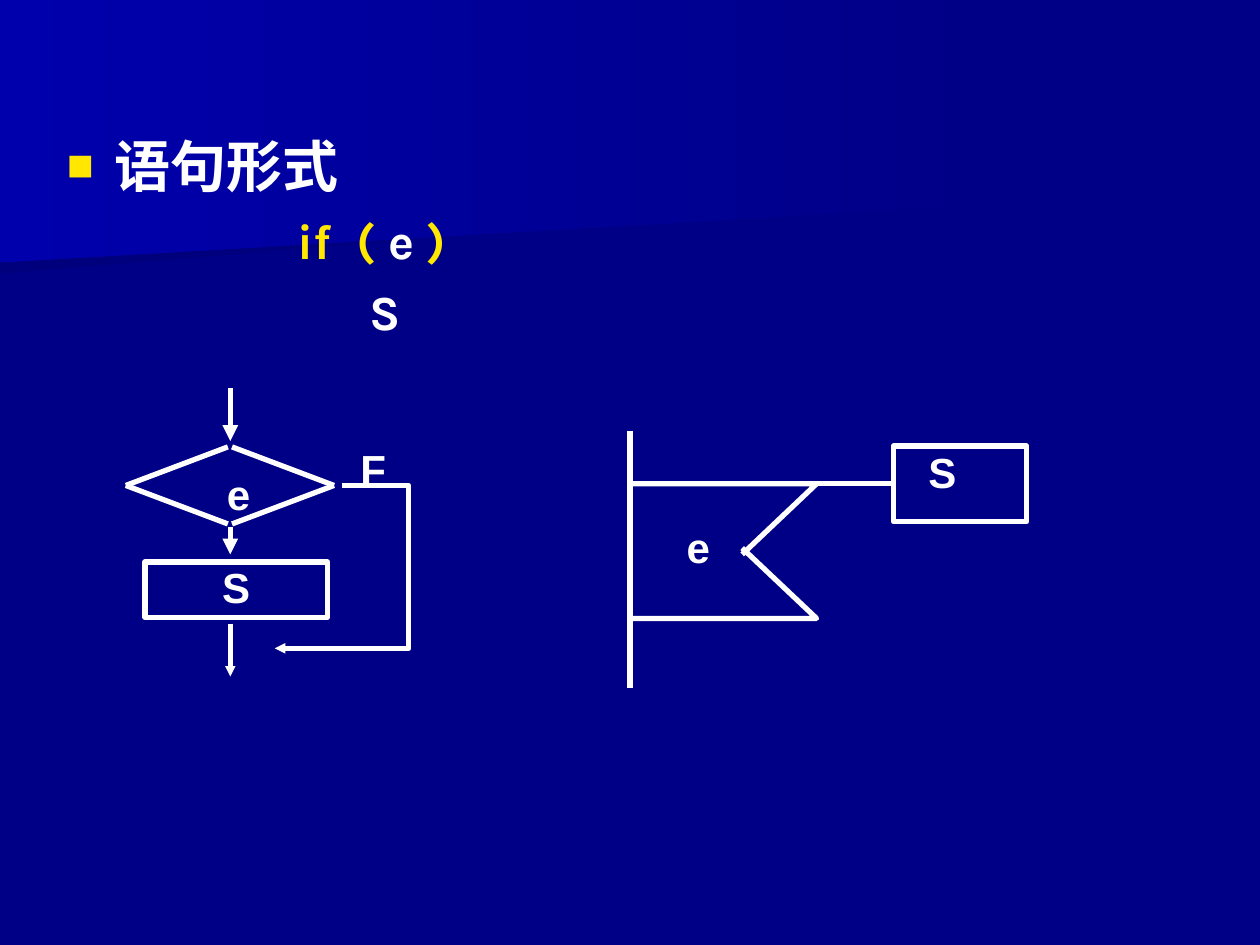
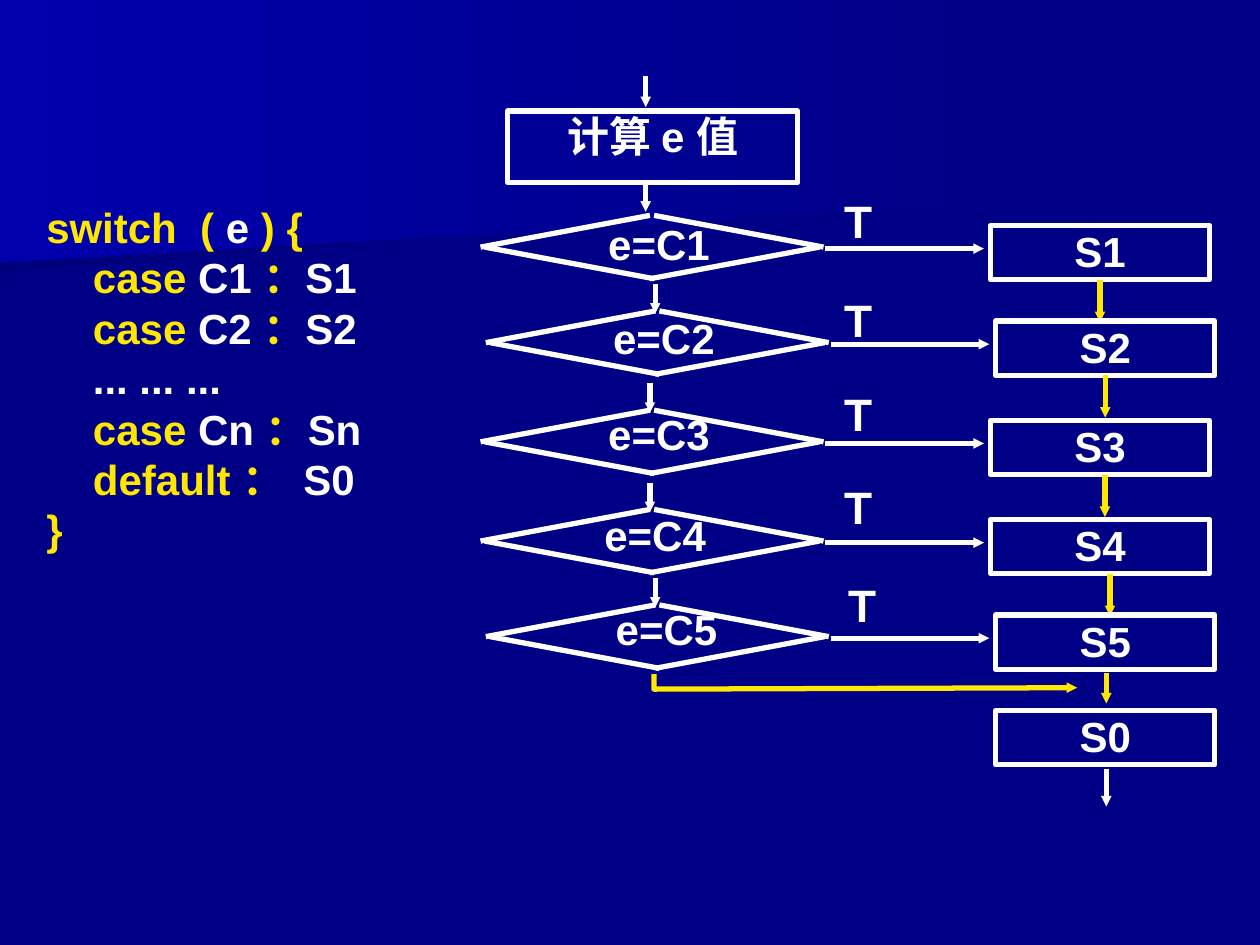
from lxml import etree
from pptx import Presentation
from pptx.dml.color import RGBColor
from pptx.enum.shapes import MSO_CONNECTOR, MSO_SHAPE
from pptx.enum.text import MSO_ANCHOR, MSO_AUTO_SIZE, PP_ALIGN
from pptx.oxml.ns import qn
from pptx.util import Pt

STRAIGHT, RECT = MSO_CONNECTOR.STRAIGHT, MSO_SHAPE.RECTANGLE
TOP, FIXED = MSO_ANCHOR.TOP, MSO_AUTO_SIZE.NONE
LEFT, MID, EVEN = PP_ALIGN.LEFT, PP_ALIGN.CENTER, PP_ALIGN.JUSTIFY

HEX = {"navy": "000086", "dark": "00007D", "glow": "0000AC",
       "white": "FFFFFF", "gold": "FFE701"}
RGB = {name: RGBColor.from_string(code) for name, code in HEX.items()}
LABEL = {"name": "Arial", "size": Pt(24), "bold": True}


def draw(slide, spots, color="white", tip=None):
    """Draw a straight or bent line, with an arrowhead of size tip at its end."""
    spots = [(Pt(x), Pt(y)) for x, y in spots]
    if len(spots) == 2:
        item = slide.shapes.add_connector(STRAIGHT, *spots[0], *spots[1])
    else:
        pen = slide.shapes.build_freeform(*spots[0])
        pen.add_line_segments(spots[1:], close=False)
        item = pen.convert_to_shape()
        item.fill.background()
    item.line.color.rgb = RGB[color]
    item.line.width = Pt(3)
    if tip:
        etree.SubElement(item.line._get_or_add_ln(), qn("a:tailEnd"),
                         type="triangle", w=tip, len=tip)
    etree.SubElement(item.element.spPr, qn("a:effectLst"))
    return item


def put(slide, text, box, align=MID, framed=False, pad=(0, 0)):
    """Place a label, or a list of lines made of (text, colour) runs."""
    box = [Pt(v) for v in box]
    if framed:
        item = slide.shapes.add_shape(RECT, *box)
        item.shadow.inherit = False
        item.fill.background()
        item.line.color.rgb = RGB["white"]
        item.line.width = Pt(3)
    else:
        item = slide.shapes.add_textbox(*box)
    frame = item.text_frame
    form = {"word_wrap": True, "auto_size": FIXED, "vertical_anchor": TOP,
            "margin_left": Pt(pad[0]), "margin_right": Pt(pad[0]),
            "margin_top": Pt(pad[1]), "margin_bottom": Pt(pad[1])}
    for key, value in form.items():
        setattr(frame, key, value)
    lines = [[(text, "white")]] if isinstance(text, str) else text
    for i, runs in enumerate(lines):
        para = frame.add_paragraph() if i else frame.paragraphs[0]
        para.alignment = align
        for words, color in runs:
            run = para.add_run()
            run.text = words
            run.font.color.rgb = RGB[color]
            for key, value in LABEL.items():
                setattr(run.font, key, value)
    return item


deck = Presentation()
deck.slide_width, deck.slide_height = Pt(720), Pt(540)
first = deck.slides.add_slide(deck.slide_layouts[1])
second = deck.slides.add_slide(deck.slide_layouts[6])

# Shared background and bands, kept on the master
master = deck.slide_master
master.background.fill.solid()
master.background.fill.fore_color.rgb = RGB["navy"]
bands = [
    ("dark", [(560.2, 110.2), (0, 156.2), (0, 72.7), (560.9, 72.7)]),
    ("glow", [(570.2, 116.6), (0, 149.8), (0, 0), (570.2, 0)]),
]
for place, (shade, spots) in enumerate(bands, start=2):
    spots = [(Pt(x), Pt(y)) for x, y in spots]
    pen = first.shapes.build_freeform(*spots[0])
    pen.add_line_segments(spots[1:], close=True)
    band = pen.convert_to_shape()
    band.shadow.inherit = False
    band.line.fill.background()
    band.fill.gradient()
    band.fill.gradient_angle = 180
    for stop, name in zip(band.fill.gradient_stops, ("navy", shade)):
        stop.color.rgb = RGB[name]
    master.shapes.element.insert(place, band.element)

# Slide 1: form of the statement
title = first.shapes.title.element
title.getparent().remove(title)
body = first.placeholders[1]
for key, value in zip(("left", "top", "width", "height"), (31, 71.3, 640.8, 169.9)):
    setattr(body, key, Pt(value))
frame = body.text_frame
frame.auto_size = FIXED
frame.vertical_anchor = TOP
# level, left margin, hanging indent, space before, size, runs
lines = [
    (0, 27, -27, 0, 32, [("语句形式", "white")]),
    (1, 132, 0, 7, 28, [("if  (", "gold"), (" e ", "white"), (")", "gold")]),
    (1, 173, 0, 7, 28, [("S", "white")]),
]
for i, (level, margin, hang, gap, size, runs) in enumerate(lines):
    para = frame.add_paragraph() if i else frame.paragraphs[0]
    para.level = level
    para.space_before = Pt(gap)
    para.alignment = LEFT
    props = para._p.get_or_add_pPr()
    props.set("marL", str(Pt(margin)))
    props.set("indent", str(Pt(hang)))
    if level:
        etree.SubElement(props, qn("a:buNone"))
    else:
        tint = etree.SubElement(props, qn("a:buClr"))
        etree.SubElement(tint, qn("a:srgbClr"), val=HEX["gold"])
        etree.SubElement(props, qn("a:buSzPct"), val="80000")
        etree.SubElement(props, qn("a:buFont"), typeface="Arial")
        etree.SubElement(props, qn("a:buChar"), char="■")
    for words, color in runs:
        run = para.add_run()
        run.text = words
        run.font.color.rgb = RGB[color]
        for key, value in {"name": "Karla", "size": Pt(size), "bold": True}.items():
            setattr(run.font, key, value)

# Diamonds of both slides: slide, centre, half width, half height, bottom gap sign
MIDX = 372.6
shift = [0, 3, 0, 0, 3]
level = [141.2, 195.8, 252.5, 309.2, 363.8]
gems = [(first, 131.4, 277.4, 58.3, 22, 1)]
gems += [(second, MIDX + dx, y, 96.8, 18.1, -1) for dx, y in zip(shift, level)]
for slide, x, y, wide, high, cross in gems:
    for side in (-1, 1):
        for end in (-1, 1):
            start = x + side * 1.2 * (cross if end > 0 else 1)
            draw(slide, [(start, y + end * high), (start + side * wide, y)])

# Slide 1: flow chart
put(first, "e", (129.6, 267.8, 21.6, 28.1), EVEN)
put(first, "S", (82.8, 321.1, 104.4, 31.7), framed=True)
for top, foot, tip in [(221.8, 252, "med"), (301, 316.8, "med"), (356.4, 386.6, "sm")]:
    draw(first, [(131.6, top), (131.6, foot)], tip=tip)
draw(first, [(195.3, 277.4), (233.5, 277.4), (233.5, 370.5), (157, 370.5)], tip="sm")
put(first, "F", (205.9, 253.4, 36, 20.2), EVEN)

# Slide 1: structure chart
draw(first, [(360, 246.2), (360, 393.1)])
draw(first, [(360, 353.4), (466.6, 353.4), (424.1, 313.2)])
draw(first, [(360, 276.5), (466.6, 276.5), (424.1, 316.8)])
box = put(first, "S", (510.5, 254.9, 76.3, 43.2), LEFT, framed=True)
box.text_frame.margin_left = Pt(20)
draw(first, [(460.1, 276.5), (510.5, 276.5)]).end_connect(box, 1)
put(first, "e", (392.4, 298.1, 28.1, 33.8), EVEN)

# Slide 2: entry of the switch
put(second, "计算 e 值", (290.2, 63.4, 165.6, 41), framed=True)
draw(second, [(369, 43.2), (369, 61.2)], tip="sm")
draw(second, [(369, 104.4), (369, 121)], tip="sm")

# Slide 2: tests and cases; label left and top, T left and top, gold arrow x
rows = [
    (329.8, 124.6, 471.6, 108.7, 628.6),
    (332.6, 178.6, 471.6, 165.6, 631.6),
    (329.8, 233.3, 471.6, 218.9, 631.4),
    (327.6, 290.9, 471.6, 272.2, 634.3),
    (334.1, 344.9, 473.8, 328.3, 632.2),
]
CASE, WIDE, HIGH = 566, 125.2, 31
for i, (x, y, tx, ty, gx) in enumerate(rows):
    dx, cy = shift[i], level[i]
    put(second, f"e=C{i + 1}", (x, y, 93.6, 44.6))
    box = put(second, f"S{i + 1}", (CASE + dx, cy - 12.3, WIDE, HIGH), framed=True)
    draw(second, [(471.6 + dx, cy + 0.9), (562.3 + dx, cy + 0.9)], tip="sm")
    put(second, "Ｔ", (tx, ty, 53.3, 36), LEFT, pad=(7.2, 3.6))
    if i:
        draw(second, [(MIDX + dx - 1.2, cy - 33.4), (MIDX + dx - 1.2, cy - 16.6)], tip="sm")
    top, foot = (20.9, 38.2) if i == 4 else (18.9, 42.9)
    fall = draw(second, [(gx, cy + top), (gx, cy + foot)], "gold", "sm")
    if i < 2:
        fall.begin_connect(box, 2)

# Slide 2: default case and exit
put(second, "S0", (CASE + 3, 406.1, WIDE, HIGH), framed=True)
draw(second, [(632.2, 439.2), (632.2, 460.8)], tip="sm")
draw(second, [(373.7, 385.2), (373.7, 393.8), (615.6, 393)], "gold", "sm")

# Slide 2: code
code = [
    [("switch  ( ", "gold"), ("e", "white"), (" ) {", "gold")],
    [("    ", "white"), ("case ", "gold"), ("C1 ", "white"), ("：", "gold"), ("S1", "white")],
    [("    ", "white"), ("case ", "gold"), ("C2 ", "white"), ("：", "gold"), ("S2", "white")],
    [("    ... ... ...", "white")],
    [("    ", "white"), ("case", "gold"), (" Cn ", "white"), ("：", "gold"), ("Sn", "white")],
    [("    ", "white"), ("default ：  ", "gold"), ("S0", "white")],
    [("}", "gold")],
]
listing = put(second, code, (19.4, 111.6, 221, 208.8), LEFT, pad=(7.2, 3.6))
for para in listing.text_frame.paragraphs:
    para.line_spacing = Pt(28.8)

deck.save("out.pptx")
